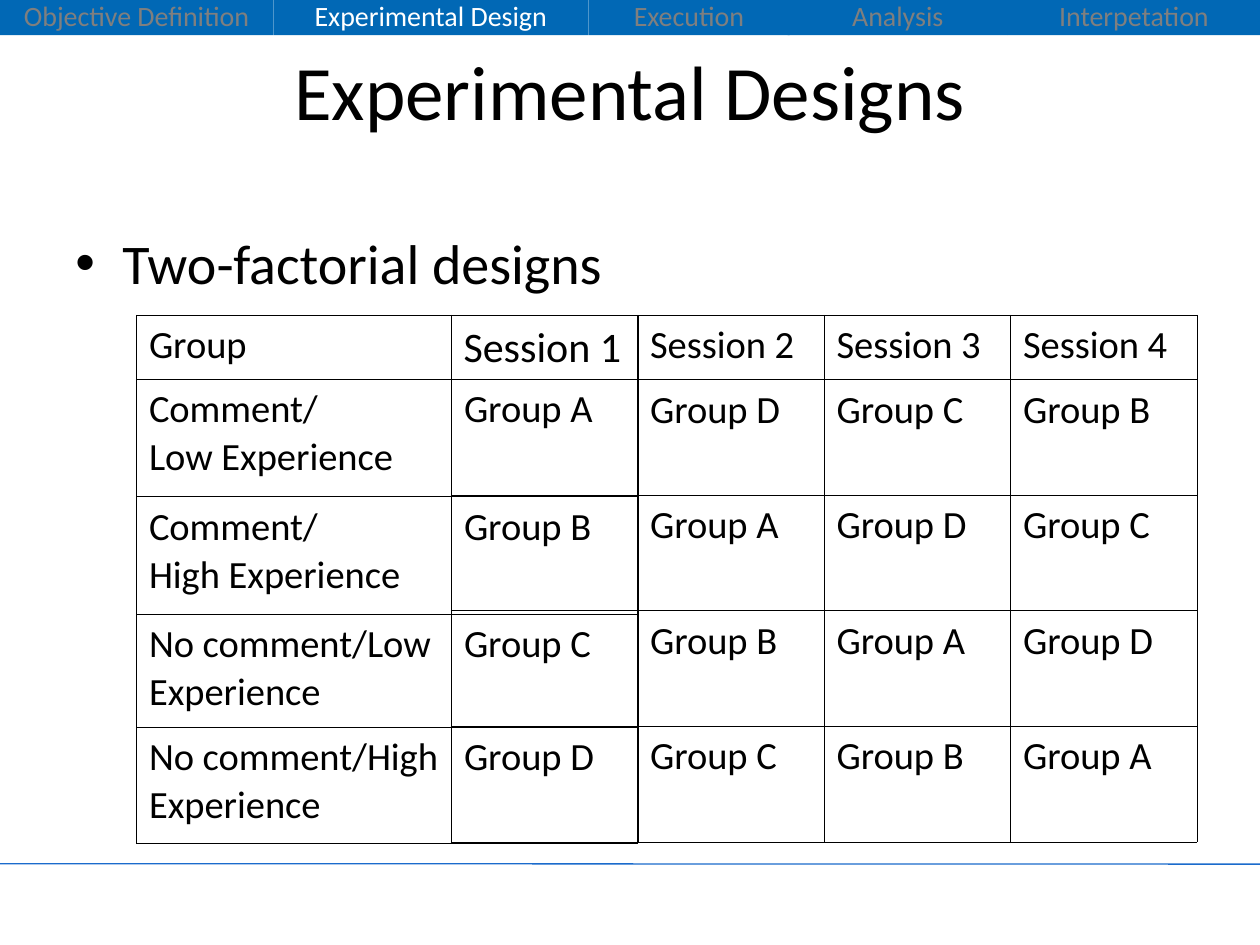
from lxml import etree
from pptx import Presentation
from pptx.dml.color import RGBColor
from pptx.enum.shapes import MSO_CONNECTOR, MSO_SHAPE
from pptx.enum.text import MSO_ANCHOR, PP_ALIGN
from pptx.oxml import parse_xml
from pptx.oxml.ns import nsdecls, qn
from pptx.util import Cm, Pt

BLACK = RGBColor(0x00, 0x00, 0x00)
WHITE = RGBColor(0xFF, 0xFF, 0xFF)
GRAY = RGBColor(0x7F, 0x7F, 0x7F)
BAR_BLUE = RGBColor(0x01, 0x68, 0xB5)
LINE_BLUE = RGBColor(0x1B, 0x6B, 0xCC)
CENTER = PP_ALIGN.CENTER
TOP = MSO_ANCHOR.TOP
MIDDLE = MSO_ANCHOR.MIDDLE
RECTANGLE = MSO_SHAPE.RECTANGLE
STRAIGHT = MSO_CONNECTOR.STRAIGHT
FONT_NAME = "Calibri"
CELL_LINE_SPACING = 1.02


def format_paragraph(paragraph, size, color, **paragraph_format):
    for name, value in paragraph_format.items():
        setattr(paragraph, name, value)
    for run in paragraph.runs:
        run.font.color.rgb = color
        for name, value in {"name": FONT_NAME, "size": Pt(size)}.items():
            setattr(run.font, name, value)


def add_bordered_table(left, top, column_widths, row_heights, rows):
    """Add an unfilled table with hairline borders; return it."""
    frame = slide.shapes.add_table(
        len(rows), len(column_widths), Cm(left), Cm(top),
        Cm(sum(column_widths)), Cm(sum(row_heights)))
    table = frame.table
    table.first_row = False
    table.horz_banding = False
    for column, width in zip(table.columns, column_widths):
        column.width = Cm(width)
    for table_row, height, texts in zip(table.rows, row_heights, rows):
        table_row.height = Cm(height)
        for cell, text in zip(table_row.cells, texts):
            properties = cell._tc.get_or_add_tcPr()
            for side in ("lnL", "lnR", "lnT", "lnB"):
                properties.append(parse_xml(
                    f'<a:{side} {nsdecls("a")} w="2920"><a:solidFill>'
                    f'<a:srgbClr val="{BLACK}"/></a:solidFill></a:{side}>'))
            cell.fill.background()
            cell.text = text
            for paragraph in cell.text_frame.paragraphs:
                format_paragraph(paragraph, 22, BLACK,
                                 line_spacing=CELL_LINE_SPACING)
    return table


presentation = Presentation()
presentation.slide_width = Cm(25.4)
presentation.slide_height = Cm(19.05)
slide = presentation.slides.add_slide(presentation.slide_layouts[5])

# Footer rule
rule = slide.shapes.add_connector(STRAIGHT, 0, Cm(17.41), Cm(25.4), Cm(17.42))
rule.line.color.rgb = LINE_BLUE
rule.line.width = Pt(0.75)
etree.SubElement(rule._element.spPr, qn("a:effectLst"))

# Navigation bar with the current phase highlighted
CURRENT_PHASE = "Experimental Design"
phases = [
    ("Objective Definition", 0, 5.51),
    (CURRENT_PHASE, 5.51, 6.35),
    ("Execution", 11.86, 4.06),
    ("Analysis", 15.88, 4.44),
    ("Interpetation", 20.32, 5.08),
]
for phase, left, width in phases:
    shape = slide.shapes.add_shape(RECTANGLE, Cm(left), 0, Cm(width), Cm(0.71))
    shape.shadow.inherit = False
    shape.fill.solid()
    shape.fill.fore_color.rgb = BAR_BLUE
    shape.line.fill.background()
    shape.text_frame.text = phase
    shape.text_frame.vertical_anchor = MIDDLE
    format_paragraph(shape.text_frame.paragraphs[0], 16,
                     WHITE if phase == CURRENT_PHASE else GRAY,
                     alignment=CENTER, line_spacing=0.93)

# Title
title = slide.shapes.title
title_place = {"left": 1.27, "top": 0.76, "width": 22.86, "height": 3.18}
for name, value in title_place.items():
    setattr(title, name, Cm(value))
title.text_frame.text = "Experimental Designs"
title.text_frame.vertical_anchor = TOP
format_paragraph(title.text_frame.paragraphs[0], 44, BLACK, alignment=CENTER)

# Bullet
body = slide.shapes.add_textbox(Cm(1.27), Cm(4.45), Cm(22.86), Cm(12.57))
body.text_frame.word_wrap = True
bullet = body.text_frame.paragraphs[0]
bullet.text = "Two-factorial designs"
bullet_properties = bullet._p.get_or_add_pPr()
bullet_properties.set("marL", str(Cm(0.95)))
bullet_properties.set("indent", str(-Cm(0.95)))
etree.SubElement(bullet_properties, qn("a:buFont"), typeface="Arial")
etree.SubElement(bullet_properties, qn("a:buChar"), char="•")
format_paragraph(bullet, 32, BLACK, line_spacing=1.02)

# Later sessions; the first column below its header belongs to the group table
TABLE_TOP = 6.35
SESSION_WIDTH = 3.76
sessions = add_bordered_table(
    9.09, TABLE_TOP, [SESSION_WIDTH] * 4, [1.3] + [2.33] * 4,
    [
        ["Session 1", "Session 2", "Session 3", "Session 4"],
        ["", "Group D", "Group C", "Group B"],
        ["", "Group A", "Group D", "Group C"],
        ["", "Group B", "Group A", "Group D"],
        ["", "Group C", "Group B", "Group A"],
    ])
format_paragraph(sessions.cell(0, 0).text_frame.paragraphs[0], 24, BLACK)

add_bordered_table(
    2.75, TABLE_TOP, [6.35, SESSION_WIDTH], [1.29, 2.37, 2.37, 2.28, 2.33],
    [
        ["Group", ""],
        ["Comment/\nLow Experience", "Group A"],
        ["Comment/\nHigh Experience", "Group B"],
        ["No comment/Low Experience", "Group C"],
        ["No comment/High Experience", "Group D"],
    ])

presentation.save("out.pptx")
